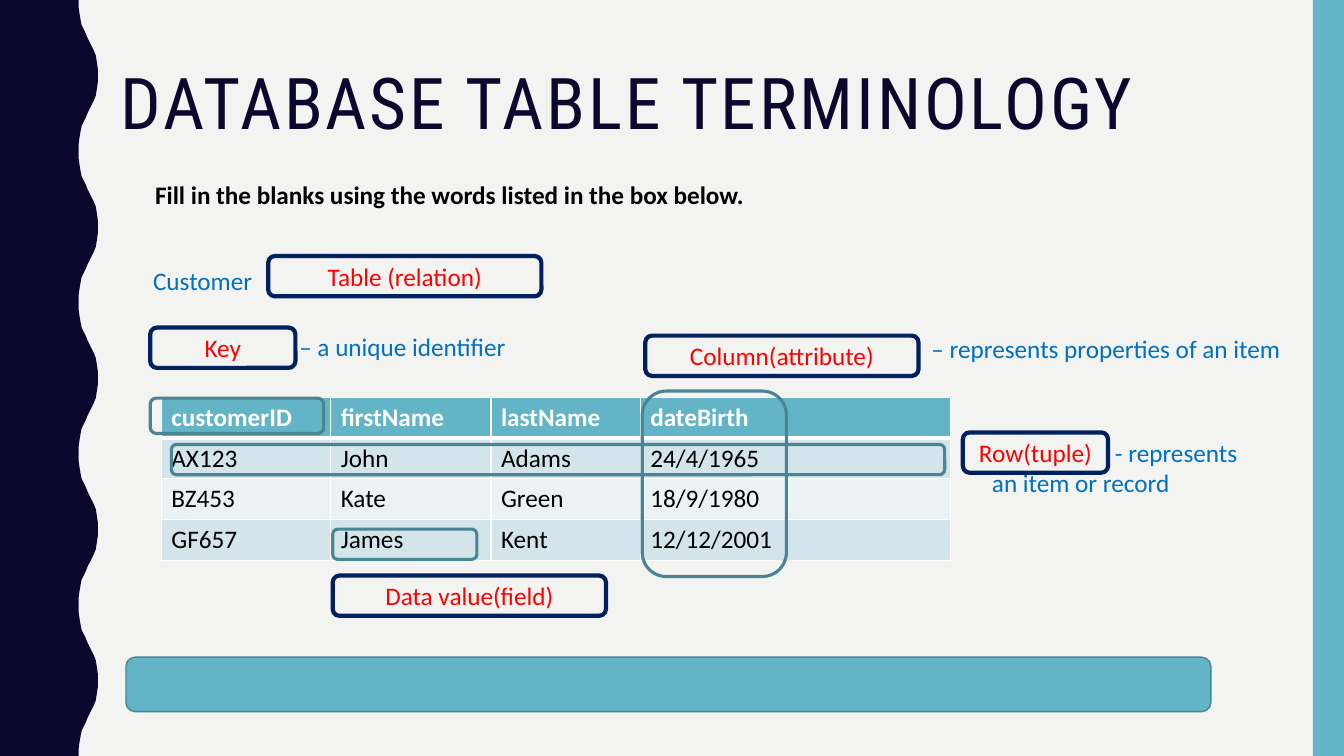
from dataclasses import dataclass

from lxml.etree import SubElement
from pptx import Presentation
from pptx.dml.color import RGBColor
from pptx.enum.shapes import MSO_SHAPE as Preset
from pptx.enum.text import MSO_ANCHOR as Anchor, PP_ALIGN as Align
from pptx.oxml.ns import qn
from pptx.util import Inches, Pt

NAVY, TEAL, DARK_TEAL, FRAME = "0B082E", "62B4C6", "498592", "002060"
BLUE, RED, BLACK, WHITE = "0070C0", "FF0000", "000000", "FFFFFF"
BAND_FILLS = ["D3E5EA", "EAF2F5"]


@dataclass
class Box:
    left: float
    top: float
    width: float
    height: float
    fill: str | None = None
    line: str | None = None
    weight: float = 2.25
    text: str = ""
    preset: Preset = Preset.ROUNDED_RECTANGLE


@dataclass
class Note:
    left: float
    top: float
    width: float
    text: str
    color: str = BLUE
    bold: bool = False
    height: float = 0.4
    indent: float = 0
    wrap: bool = True


def rgb(value: str) -> RGBColor:
    return RGBColor.from_string(value)


def paint(target, color: str) -> None:
    target.fill.solid()
    target.fill.fore_color.rgb = rgb(color)


def style(paragraph, color: str, size: float = 18, face: str = "Calibri", bold: bool = False) -> None:
    font = paragraph.font
    font.name, font.size, font.bold = face, Pt(size), bold
    font.color.rgb = rgb(color)


def draw_box(box: Box) -> None:
    shape = slide.shapes.add_shape(
        box.preset, Inches(box.left), Inches(box.top), Inches(box.width), Inches(box.height))
    shape.shadow.inherit = False
    if box.fill:
        paint(shape, box.fill)
    else:
        shape.fill.background()
    if box.line:
        shape.line.color.rgb = rgb(box.line)
        shape.line.width = Pt(box.weight)
    else:
        shape.line.fill.background()
    if box.text:
        frame = shape.text_frame
        frame.text, frame.vertical_anchor = box.text, Anchor.MIDDLE
        frame.paragraphs[0].alignment = Align.CENTER
        style(frame.paragraphs[0], RED)


def draw_note(note: Note):
    frame = slide.shapes.add_textbox(
        Inches(note.left), Inches(note.top), Inches(note.width), Inches(note.height)).text_frame
    frame.word_wrap, frame.text = note.wrap, note.text
    paragraph = frame.paragraphs[0]
    style(paragraph, note.color, bold=note.bold)
    if note.indent:
        paragraph._p.get_or_add_pPr().set("indent", str(Inches(note.indent)))
    return paragraph


def draw_wave() -> None:
    rise = [(0.78, 0), (0.78, 0.07), (0.79, 0.14), (0.8, 0.2), (0.81, 0.25),
            (0.83, 0.29), (0.85, 0.33), (0.87, 0.38), (0.89, 0.42), (0.91, 0.46),
            (0.93, 0.5), (0.95, 0.55), (0.96, 0.61), (0.97, 0.68), (0.97, 0.75)]
    period = 1.5
    ripple = rise + [(x, period - y) for x, y in reversed(rise[:-1])]
    edge = [(Inches(x), Inches(y + period * turn)) for turn in range(5) for x, y in ripple]
    builder = slide.shapes.build_freeform(0, 0)
    builder.add_line_segments(edge + [(0, Inches(7.5))], close=True)
    wave = builder.convert_to_shape()
    wave.shadow.inherit = False
    paint(wave, NAVY)
    wave.line.fill.background()


def add_borders(cell, bottom: float) -> None:
    properties = cell._tc.get_or_add_tcPr()
    for side, weight in {"L": 1, "R": 1, "T": 1, "B": bottom}.items():
        line = SubElement(properties, qn(f"a:ln{side}"), w=str(Pt(weight)))
        SubElement(SubElement(line, qn("a:solidFill")), qn("a:srgbClr"), val=WHITE)


def draw_customers() -> None:
    records = [["customerID", "firstName", "lastName", "dateBirth"],
               ["AX123", "John", "Adams", "24/4/1965"],
               ["BZ453", "Kate", "Green", "18/9/1980"],
               ["GF657", "James", "Kent", "12/12/2001"]]
    table = slide.shapes.add_table(
        4, 4, Inches(1.6), Inches(3.94), Inches(7.83), Inches(1.62)).table
    for column, width in zip(table.columns, [1.68, 1.59, 1.48, 3.08]):
        column.width = Inches(width)
    for index, record in enumerate(records):
        header = index == 0
        for column, value in enumerate(record):
            cell = table.cell(index, column)
            cell.text = value
            add_borders(cell, bottom=3 if header else 1)
            paint(cell, TEAL if header else BAND_FILLS[(index - 1) % 2])
            style(cell.text_frame.paragraphs[0], WHITE if header else BLACK, bold=header)


presentation = Presentation()
presentation.slide_width, presentation.slide_height = Inches(13.33), Inches(7.5)
slide = presentation.slides.add_slide(presentation.slide_layouts[6])
paint(slide.background, "F3F3F2")

draw_wave()
draw_box(Box(13.02, 0, 0.31, 7.5, fill=TEAL, preset=Preset.RECTANGLE))

title = draw_note(Note(1.1, 0.62, 11.28, "DATABASE TABLE TERMINOLOGY", height=0.98))
style(title, NAVY, 51, "Roboto Condensed")
title.line_spacing = 0.9
title.runs[0]._r.get_or_add_rPr().set("spc", "200")

draw_customers()

HIGHLIGHTS = [(6.37, 3.88, 1.43, 1.84), (3.3, 5.25, 1.43, 0.3),
              (1.7, 4.41, 7.67, 0.3), (1.49, 3.95, 1.72, 0.35)]
for highlight in HIGHLIGHTS:
    draw_box(Box(*highlight, line=DARK_TEAL))

NOTES = [
    Note(1.44, 1.73, 9.86, "Fill in the blanks using the words listed in the box below.", BLACK, True),
    Note(1.42, 2.58, 1.24, "Customer", wrap=False),
    Note(2.87, 3.24, 3.96, "– a unique identifier"),
    Note(9.14, 3.26, 3.96, "– represents properties of an item"),
    Note(9.74, 4.29, 2.73, "- represents an item or record", height=0.71, indent=1.22),
]
for note in NOTES:
    draw_note(note)

draw_box(Box(1.25, 6.52, 10.76, 0.54, fill=TEAL, line=DARK_TEAL, weight=1))

WIDE, NARROW = 2.71, 1.44
ANSWERS = [("Table (relation)", 2.66, 2.54, WIDE), ("Column(attribute)", 6.4, 3.33, WIDE),
           ("Data value(field)", 3.3, 5.71, WIDE), ("Row(tuple)", 9.55, 4.29, NARROW),
           ("Key", 1.49, 3.25, NARROW)]
for term, left, top, width in ANSWERS:
    draw_box(Box(left, top, width, 0.4, line=FRAME, weight=3, text=term))

presentation.save("out.pptx")
